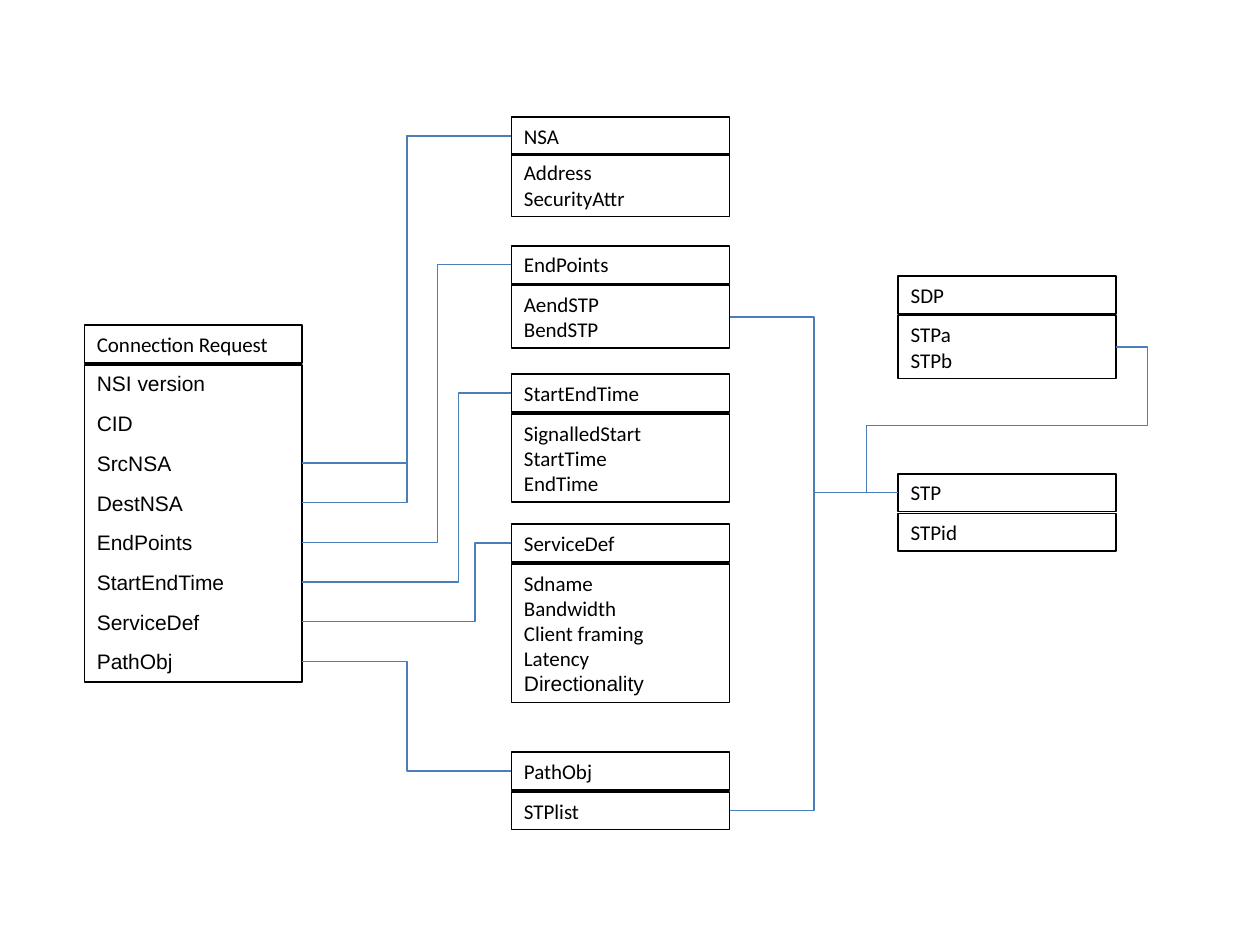
from pptx import Presentation
from pptx.dml.color import RGBColor
from pptx.enum.shapes import MSO_CONNECTOR, MSO_SHAPE
from pptx.enum.text import MSO_ANCHOR, PP_ALIGN
from pptx.oxml.ns import qn
from pptx.util import Inches, Pt
from lxml import etree

RECT = MSO_SHAPE.RECTANGLE
ELBOW = MSO_CONNECTOR.ELBOW
LEFT = PP_ALIGN.LEFT
MIDDLE = MSO_ANCHOR.MIDDLE
COLORS = {"ink": "000000", "link": "4A7EBB"}

# Content: the request and the classes it refers to
REQUEST = "Connection Request"
FIELDS = ["NSI version", "CID", "SrcNSA", "DestNSA", "EndPoints",
          "StartEndTime", "ServiceDef", "PathObj"]
# name: (column, top, attributes)
CLASSES = {
    "NSA": (1, 0.93, ["Address", "SecurityAttr"]),
    "EndPoints": (1, 1.95, ["AendSTP", "BendSTP"]),
    "StartEndTime": (1, 2.97, ["SignalledStart", "StartTime", "EndTime"]),
    "ServiceDef": (1, 4.16, ["Sdname", "Bandwidth", "Client framing",
                             "Latency", "Directionality"]),
    "PathObj": (1, 5.97, ["STPlist"]),
    "SDP": (2, 2.19, ["STPa", "STPb"]),
    "STP": (2, 3.76, ["STPid"]),
}
ARIAL = {"Directionality"}
# field, class, x of the bend
FIELD_LINKS = [
    ("SrcNSA", "NSA", 3.23), ("DestNSA", "NSA", 3.23),
    ("EndPoints", "EndPoints", 3.47), ("StartEndTime", "StartEndTime", 3.64),
    ("ServiceDef", "ServiceDef", 3.77), ("PathObj", "PathObj", 3.23),
]

# Grid
COLS = [0.67, 4.06, 7.13]
WIDTH, HEAD = 1.73, 0.3
TOP, BODY = 2.58, 2.52
STEP = BODY / len(FIELDS)
STEPS = {"NSA": 0.29}
LINE, PAD = 0.2, 0.1

prs = Presentation()
prs.slide_width, prs.slide_height = Inches(10), Inches(7.5)
slide = prs.slides.add_slide(prs.slide_layouts[6])


def write(shape, lines, face="Calibri"):
    frame = shape.text_frame
    frame.word_wrap = True
    frame.vertical_anchor = MIDDLE
    frame.text = "\n".join(lines)
    for par in frame.paragraphs:
        par.alignment = LEFT
        par.font.name = "Arial" if par.text in ARIAL else face
        par.font.size = Pt(12)
        par.font.color.rgb = RGBColor.from_string(COLORS["ink"])


def box(shapes, x, y, height, lines=()):
    rect = shapes.add_shape(RECT, Inches(x), Inches(y),
                            Inches(WIDTH), Inches(height))
    rect.shadow.inherit = False
    rect.fill.background()
    rect.line.color.rgb = RGBColor.from_string(COLORS["ink"])
    rect.line.width = Pt(1)
    if lines:
        write(rect, lines)


def link(start, end, *shares):
    """Elbow line whose bends lie at the given shares of its extent."""
    line = slide.shapes.add_connector(
        ELBOW, *(Inches(v) for v in (*start, *end)))
    line.line.color.rgb = RGBColor.from_string(COLORS["link"])
    line.line.width = Pt(0.75)
    props = line._element.spPr
    etree.SubElement(props, qn("a:effectLst"))
    geom = props.find(qn("a:prstGeom"))
    geom.set("prst", f"bentConnector{len(shares) + 2}")
    guides = geom.find(qn("a:avLst"))
    for num, share in enumerate(shares, 1):
        etree.SubElement(guides, qn("a:gd"), name=f"adj{num}",
                         fmla=f"val {round(share * 100000)}")


# Request box with one text row per field
box(slide.shapes, COLS[0], TOP, HEAD, [REQUEST])
box(slide.shapes, COLS[0], TOP + STEP, BODY)
ports = {}
for row, field in enumerate(FIELDS, 1):
    y = TOP + row * STEP
    text = slide.shapes.add_textbox(Inches(COLS[0]), Inches(y),
                                    Inches(WIDTH), Inches(HEAD))
    write(text, [field], "Arial")
    ports[field] = (COLS[0] + WIDTH, y + HEAD / 2)

# Class boxes: heading above attributes
heads, bodies = {}, {}
for name, (col, top, attrs) in CLASSES.items():
    group = slide.shapes.add_group_shape()
    x, y = COLS[col], top + STEPS.get(name, STEP)
    height = PAD + LINE * len(attrs)
    box(group.shapes, x, top, HEAD, [name])
    box(group.shapes, x, y, height, attrs)
    heads[name] = (x, top + HEAD / 2)
    bodies[name] = (x + WIDTH, y + height / 2)

# Links from fields to classes
for field, name, bend in FIELD_LINKS:
    start, end = ports[field], heads[name]
    link(start, end, (bend - start[0]) / (end[0] - start[0]))

# Links into STP; the one from SDP loops around both boxes
for name in ("EndPoints", "PathObj"):
    link(bodies[name], heads["STP"], 0.5)
loop = 0.25 / WIDTH
link(bodies["SDP"], heads["STP"], -loop, 0.54, 1 + loop)

prs.save("out.pptx")
